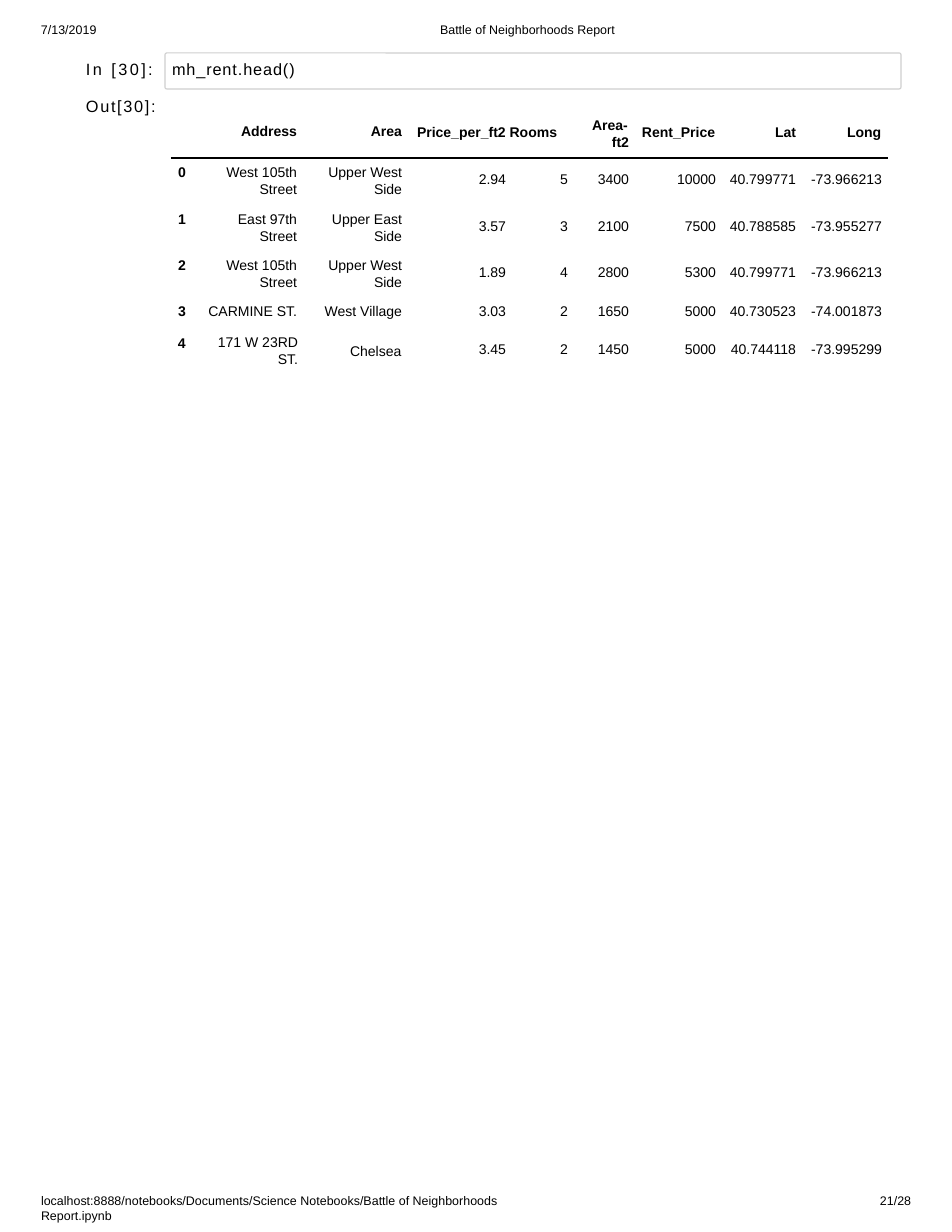
import pptx
import pptx.util
import pptx.dml.color
import pptx.enum.shapes
import pptx.enum.text
import pptx.oxml.ns
import lxml.etree

PX = 914400 / 112
COLORS = {"text": "000000", "rule": "000000", "box": "CFCFCF"}
FONT = "Arial"
NO_STYLE = "{2D5ABB26-0587-4C30-8999-92F81FD0307C}"
LEFT = pptx.enum.text.PP_ALIGN.LEFT
RIGHT = pptx.enum.text.PP_ALIGN.RIGHT


def px(n):
    return pptx.util.Emu(round(n * PX))


def write(tf, text, size, bold=False, align=LEFT, spc=0, line=None):
    tf.text = text
    tf.word_wrap = True
    for p in tf.paragraphs:
        p.alignment = align
        if line:
            p.line_spacing = pptx.util.Pt(line)
        if not p.runs:
            p._p.get_or_add_endParaRPr().set("sz", str(size * 100))
        for r in p.runs:
            r.font.name = FONT
            r.font.size = pptx.util.Pt(size)
            r.font.bold = bold
            r.font.color.rgb = pptx.dml.color.RGBColor.from_string(COLORS["text"])
            if spc:
                r._r.get_or_add_rPr().set("spc", str(spc))


prs = pptx.Presentation()
prs.slide_width = px(952)
prs.slide_height = px(1232)
s = prs.slides.add_slide(prs.slide_layouts[5])

title = s.shapes.title
title.left, title.top, title.width, title.height = px(440), px(22), px(190), px(15)
tf = title.text_frame
tf.margin_left = tf.margin_top = tf.margin_right = tf.margin_bottom = 0
tf.vertical_anchor = pptx.enum.text.MSO_ANCHOR.TOP
tf.auto_size = pptx.enum.text.MSO_AUTO_SIZE.NONE
write(tf, "Battle of Neighborhoods Report", 8)

sp = s.shapes.add_shape(pptx.enum.shapes.MSO_SHAPE.ROUNDED_RECTANGLE,
                        px(165), px(53), px(736), px(36))
sp.adjustments[0] = 0.05
sp.shadow.inherit = False
sp.fill.background()
sp.line.color.rgb = pptx.dml.color.RGBColor.from_string(COLORS["box"])
sp.line.width = pptx.util.Pt(0.75)

address_rows = [
    ["Out[30]:", "", "Address", "Area"],
    ["", "0", "West 105th\nStreet", "Upper West\nSide"],
    ["", "1", "East 97th\nStreet", "Upper East\nSide"],
    ["", "2", "West 105th\nStreet", "Upper West\nSide"],
    ["", "3", "CARMINE ST.", "West Village"],
]
value_rows = [
    ["", "", "ft2", "", "", ""],
    ["2.94", "5", "3400", "10000", "40.799771", "-73.966213"],
    ["3.57", "3", "2100", "7500", "40.788585", "-73.955277"],
    ["1.89", "4", "2800", "5300", "40.799771", "-73.966213"],
    ["3.03", "2", "1650", "5000", "40.730523", "-74.001873"],
    ["3.45", "2", "1450", "5000", "40.744118", "-73.995299"],
]
tables = [
    (82, 100, address_rows, [90, 26, 113, 133], [58, 47, 47, 47, 22],
     [0, 12, 14, 42], [23, 6, 6, 5, 4], [1]),
    (475, 134, value_rows, [58, 49, 71, 71, 81, 85], [28, 44, 47, 43, 38, 27],
     [27, 14, 24, 8, 9, 8], [0, 9, 12, 11, 7, 7], []),
]
grids = []
for x, y, rows, widths, heights, insets, tops, bold_cols in tables:
    frame = s.shapes.add_table(len(rows), len(widths), px(x), px(y),
                               px(sum(widths)), px(sum(heights)))
    tbl = frame.table
    tbl.first_row = tbl.horz_banding = False
    tbl._tbl.tblPr.find(pptx.oxml.ns.qn("a:tableStyleId")).text = NO_STYLE
    for col, width in zip(tbl.columns, widths):
        col.width = px(width)
    for i, row in enumerate(rows):
        tbl.rows[i].height = px(heights[i])
        for j, text in enumerate(row):
            cell = tbl.cell(i, j)
            cell.fill.background()
            cell.margin_left = cell.margin_bottom = 0
            cell.margin_right = px(insets[j])
            cell.margin_top = px(tops[i])
            write(cell.text_frame, text, 9, i == 0 or j in bold_cols, RIGHT, line=10.7)
    grids.append(tbl)

out = grids[0].cell(0, 0)
out.margin_left, out.margin_top = px(4), 0
write(out.text_frame, "Out[30]:", 10.5, spc=110, line=9.9)
for first, last in [(0, 1), (3, 5)]:
    grids[1].cell(0, first).merge(grids[1].cell(0, last))

rule_xs = [171, 194, 305, 409, 513, 575, 635, 722, 803, 888]
for x1, x2 in zip(rule_xs, rule_xs[1:]):
    rule = s.shapes.add_connector(pptx.enum.shapes.MSO_CONNECTOR.STRAIGHT,
                                  px(x1), px(158), px(x2), px(158))
    rule.line.color.rgb = pptx.dml.color.RGBColor.from_string(COLORS["rule"])
    rule.line.width = pptx.util.Pt(0.75)
    lxml.etree.SubElement(rule._element.spPr, pptx.oxml.ns.qn("a:effectLst"))

texts = [
    ("7/13/2019", 41, 22, 62, 15, 8, False, LEFT, 0),
    ("In [30]:", 86, 59, 78, 20, 10.5, False, LEFT, 160),
    ("mh_rent.head()", 172, 59, 720, 20, 10.5, False, LEFT, 60),
    ("Price_per_ft2 Rooms", 417, 124, 155, 17, 9, True, LEFT, 0),
    ("Area-", 592, 117, 42, 17, 9, True, LEFT, 0),
    ("Rent_Price", 642, 124, 80, 17, 9, True, LEFT, 0),
    ("Lat", 775, 124, 28, 17, 9, True, LEFT, 0),
    ("Long", 847, 124, 42, 17, 9, True, LEFT, 0),
    ("4", 178, 335, 12, 17, 9, True, LEFT, 0),
    ("171 W 23RD\nST.", 208, 334, 90, 34, 9, False, RIGHT, 0),
    ("Chelsea", 350, 343, 60, 17, 9, False, LEFT, 0),
    ("localhost:8888/notebooks/Documents/Science Notebooks/Battle of Neighborhoods Report.ipynb",
     41, 1193, 500, 30, 8, False, LEFT, 0),
    ("21/28", 880, 1193, 38, 15, 8, False, LEFT, 0),
]
for text, x, y, w, h, size, bold, align, spc in texts:
    tf = s.shapes.add_textbox(px(x), px(y), px(w), px(h)).text_frame
    tf.margin_left = tf.margin_top = tf.margin_right = tf.margin_bottom = 0
    write(tf, text, size, bold, align, spc, 10.7 if "\n" in text else None)

prs.save("out.pptx")
